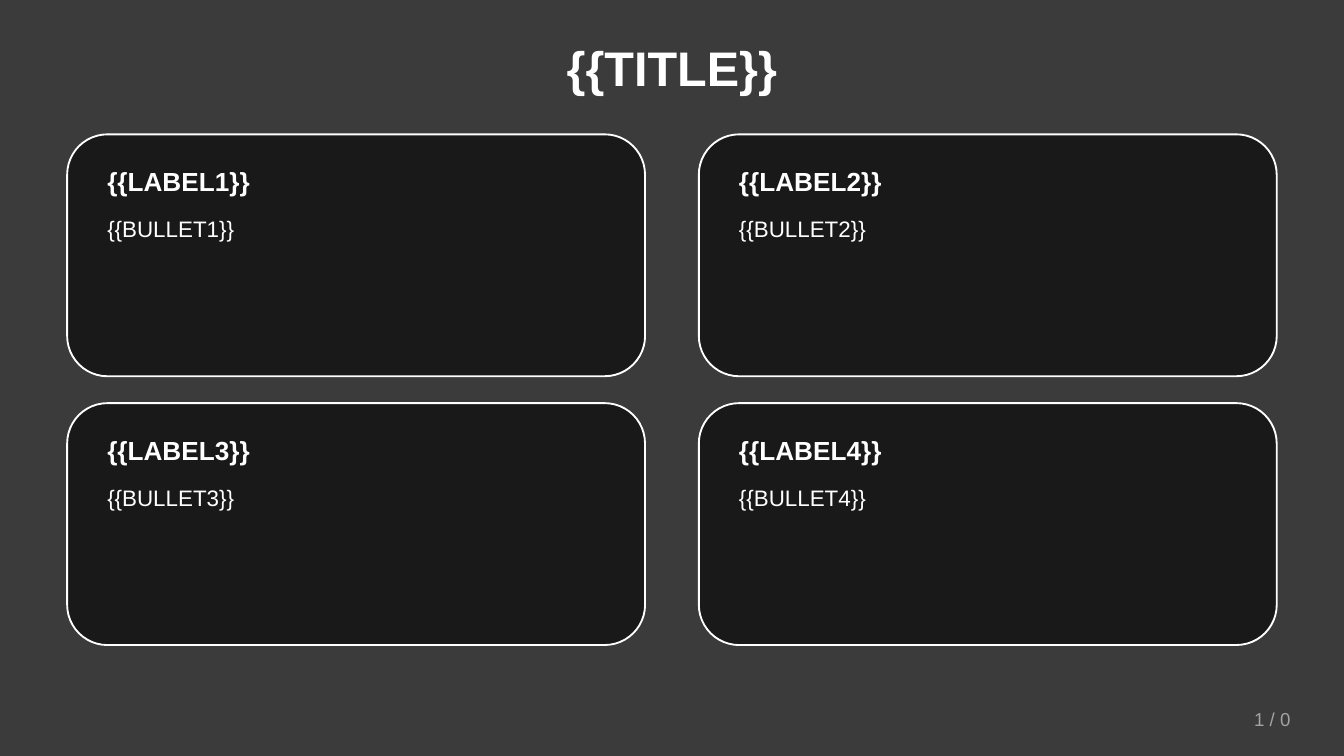
from lxml.etree import SubElement
from pptx import Presentation
from pptx.dml.color import RGBColor
from pptx.enum.shapes import MSO_SHAPE
from pptx.enum.text import MSO_ANCHOR, MSO_AUTO_SIZE, PP_ALIGN
from pptx.oxml.ns import qn
from pptx.util import Pt

PX = 4572  # EMU per px, 200 px to the inch
SLIDE_W, SLIDE_H = 2000, 1125
CARD_W, CARD_H = 860, 360
CARD_LEFT, CARD_TOP = 100, 200
COLUMN_STEP, ROW_STEP = 940, 400
WHITE = "FFFFFF"


def add_panel(kind, left, top, width, height, color, opacity):
    """Add a shape with a see-through fill and no outline."""
    panel = slide.shapes.add_shape(kind, left * PX, top * PX, width * PX, height * PX)
    panel.shadow.inherit = False
    panel.fill.solid()
    panel.fill.fore_color.rgb = RGBColor.from_string(color)
    srgb = panel.fill._xPr.find(f"{qn('a:solidFill')}/{qn('a:srgbClr')}")
    SubElement(srgb, qn("a:alpha"), val=str(opacity * 1000))
    panel.line.fill.background()
    return panel


def write(left, top, width, height, text, size, color=WHITE, bold=False,
          align=PP_ALIGN.LEFT, anchor=MSO_ANCHOR.MIDDLE, box=None):
    """Write one line of text in the given box, or in a new text box."""
    box = box or slide.shapes.add_textbox(0, 0, 0, 0)
    box.left, box.top = left * PX, top * PX
    box.width, box.height = width * PX, height * PX
    frame = box.text_frame
    frame.word_wrap = True
    frame.auto_size = MSO_AUTO_SIZE.NONE
    frame.vertical_anchor = anchor
    paragraph = frame.paragraphs[0]
    paragraph.text = text
    paragraph.alignment = align
    paragraph.font.name = "Arial"
    paragraph.font.size = Pt(size)
    paragraph.font.bold = bold
    paragraph.font.color.rgb = RGBColor.from_string(color)


prs = Presentation()
prs.slide_width, prs.slide_height = SLIDE_W * PX, SLIDE_H * PX
slide = prs.slides.add_slide(prs.slide_layouts[5])
slide.background.fill.solid()
slide.background.fill.fore_color.rgb = RGBColor.from_string(WHITE)

overlay = add_panel(MSO_SHAPE.RECTANGLE, 0, 0, SLIDE_W, SLIDE_H, "0A0A0A", 80)
title = slide.shapes.title
overlay.element.addnext(title.element)  # keep the title above the overlay
write(100, 40, 1800, 120, "{{TITLE}}", 26, bold=True, align=PP_ALIGN.CENTER, box=title)

for index in range(4):
    row, column = divmod(index, 2)
    left = CARD_LEFT + column * COLUMN_STEP
    top = CARD_TOP + row * ROW_STEP
    number = index + 1

    card = add_panel(MSO_SHAPE.ROUNDED_RECTANGLE, left, top, CARD_W, CARD_H, "141414", 85)
    card.line.color.rgb = RGBColor.from_string(WHITE)
    card.line.width = Pt(1)

    write(left + 40, top + 30, CARD_W - 80, 80, f"{{{{LABEL{number}}}}}", 14, bold=True)
    write(left + 40, top + 110, CARD_W - 80, 200, f"{{{{BULLET{number}}}}}", 12,
          anchor=MSO_ANCHOR.TOP)

write(1700, 1040, 240, 60, "1 / 0", 10, color="A3A3A3", align=PP_ALIGN.RIGHT)

prs.save("out.pptx")
